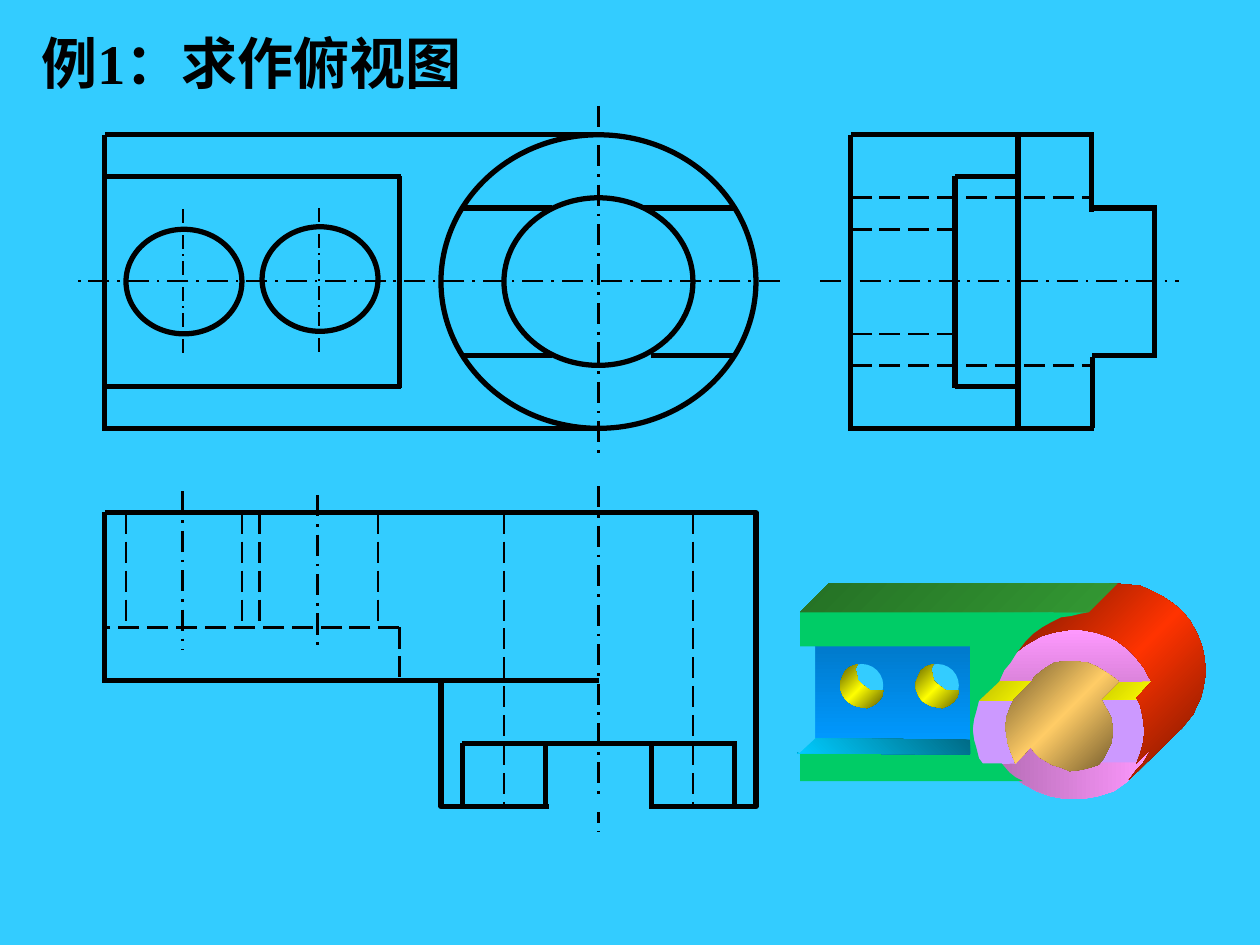
from copy import deepcopy

from pptx import Presentation
from pptx.dml.color import RGBColor
from pptx.enum.dml import MSO_LINE
from pptx.enum.shapes import MSO_CONNECTOR, MSO_SHAPE
from pptx.enum.text import MSO_ANCHOR, MSO_AUTO_SIZE
from pptx.oxml.ns import qn
from pptx.util import Inches, Pt

COLORS = {
    "background": "33CCFF", "ink": "000000",
    "pink": "FF99FF", "pink shade": "DB83DB", "pink dark": "B86EB8", "lilac": "CC99FF",
    "yellow": "FFFF00", "yellow shade": "BDBD00", "yellow soft": "CCCC00",
    "olive": "5E5E00", "olive light": "686800",
    "red": "FF3300", "red dark": "751700", "gold": "FFCC66", "gold dark": "6D572B",
    "green": "339933", "green dark": "257125", "front green": "00CC66",
    "blue": "0099FF", "blue dark": "007ACC", "cyan": "00CCFF", "cyan dark": "006B86",
}
# Line styles: colour, width in points, dash
LINES = {
    "outline": ("ink", 3, None),
    "hidden": ("ink", 1.5, MSO_LINE.LONG_DASH),
    "axis": ("ink", 1.5, MSO_LINE.LONG_DASH_DOT),
    "thin axis": ("ink", 1, MSO_LINE.LONG_DASH_DOT),
    "cover": ("background", 6, None),
}


def rgb(name):
    return RGBColor.from_string(COLORS[name])


class Drawing:
    """Holds the slide and the style of the technical drawing."""

    font = "Times New Roman"

    def __init__(self, slide):
        self.slide = slide
        self.shapes = slide.shapes
        slide.background.fill.solid()
        slide.background.fill.fore_color.rgb = rgb("background")

    def start_group(self):
        self.shapes = self.slide.shapes.add_group_shape().shapes

    def stroke(self, line, style):
        color, width, dash = LINES[style]
        line.color.rgb = rgb(color)
        line.width = Pt(width)
        if dash:
            line.dash_style = dash

    def line(self, x1, y1, x2, y2, style="outline"):
        connector = self.shapes.add_connector(
            MSO_CONNECTOR.STRAIGHT, *map(Inches, (x1, y1, x2, y2)))
        self.stroke(connector.line, style)
        properties = connector.element.spPr
        properties.append(properties.makeelement(qn("a:effectLst"), {}))
        return connector

    def outline(self, kind, left, top, width, height):
        shape = self.shapes.add_shape(kind, *map(Inches, (left, top, width, height)))
        shape.shadow.inherit = False
        shape.fill.background()
        self.stroke(shape.line, "outline")
        return shape

    def paint(self, shape, colors, angle):
        shape.shadow.inherit = False
        shape.line.fill.background()
        fill = shape.fill
        if len(colors) == 1:
            fill.solid()
            fill.fore_color.rgb = rgb(colors[0])
            return
        fill.gradient()
        fill.gradient_angle = 360 - angle
        stop_list = shape.element.spPr.find(".//" + qn("a:gsLst"))
        while len(stop_list) < len(colors):
            stop_list.append(deepcopy(stop_list[-1]))
        for index, (stop, color) in enumerate(zip(fill.gradient_stops, colors)):
            stop.position = index / (len(colors) - 1)
            stop.color.rgb = rgb(color)

    def face(self, points, *colors, angle=0, dx=0):
        pairs = [pair.split(",") for pair in points.split()]
        corners = [(Inches(float(x) + dx), Inches(float(y))) for x, y in pairs]
        builder = self.shapes.build_freeform(*corners[0])
        builder.add_line_segments(corners[1:], close=True)
        self.paint(builder.convert_to_shape(), colors, angle)

    def disc(self, left, top, size, color):
        shape = self.shapes.add_shape(
            MSO_SHAPE.OVAL, *map(Inches, (left, top, size, size)))
        self.paint(shape, [color], 0)

    def text(self, text, *, left, top, width, height, size, bold=False, color="ink"):
        box = self.shapes.add_textbox(*map(Inches, (left, top, width, height)))
        frame = box.text_frame
        frame.word_wrap = False
        frame.auto_size = MSO_AUTO_SIZE.SHAPE_TO_FIT_TEXT
        frame.vertical_anchor = MSO_ANCHOR.MIDDLE
        run = frame.paragraphs[0].add_run()
        run.text = text
        run.font.name, run.font.size, run.font.bold = self.font, Pt(size), bold
        run.font.color.rgb = rgb(color)


def draw_front_view(drawing):
    drawing.line(6.19, 2.23, 0.61, 2.23, "axis")
    drawing.line(4.75, 0.84, 4.75, 3.61, "axis")
    # Cylinder, bore and the two small holes
    for box in ((3.5, 1.07, 2.5, 2.33), (4, 1.57, 1.5, 1.33),
                (1, 1.82, 0.92, 0.83), (2.08, 1.8, 0.92, 0.83)):
        drawing.outline(MSO_SHAPE.OVAL, *box)
    drawing.line(1.45, 1.66, 1.45, 2.82, "thin axis")
    drawing.line(2.53, 1.65, 2.53, 2.8, "thin axis")
    # Plate, pocket and slot edges
    for y in (1.07, 3.4):
        drawing.line(4.75, y, 0.83, y)
    for y in (1.4, 3.07):
        drawing.line(0.83, y, 3.18, y)
    for y in (1.65, 2.82):
        drawing.line(3.67, y, 4.38, y)
        drawing.line(5.83, y, 5.11 if y < 2 else 5.17, y)
    drawing.line(0.83, 1.07, 0.83, 3.42)
    drawing.line(3.17, 1.4, 3.17, 3.08)


def draw_side_view(drawing):
    drawing.line(6.51, 2.23, 9.36, 2.23, "axis")
    for x, top, bottom in ((6.75, 1.07, 3.42), (7.58, 1.4, 3.08), (8.08, 1.07, 3.4),
                           (8.66, 1.05, 1.68), (8.67, 2.83, 3.4), (9.16, 1.65, 2.83)):
        drawing.line(x, top, x, bottom)
    for left, right, levels in ((6.75, 8.68, (1.07, 3.4)), (8.67, 9.18, (1.65, 2.82)),
                                (7.58, 8.08, (1.4, 3.07))):
        for y in levels:
            drawing.line(left, y, right, y)
    for right, levels in ((8.67, (1.57, 2.9)), (7.58, (1.82, 2.65))):
        for y in levels:
            drawing.line(6.75, y, right, y, "hidden")


def draw_top_view(drawing):
    drawing.line(4.75, 3.86, 4.75, 6.6, "axis")
    body = drawing.outline(MSO_SHAPE.RECTANGLE, 3.5, 4.07, 2.5, 2.33)
    # Slot and bore
    drawing.line(3.67, 5.9, 5.85, 5.9)
    for x in (4, 5.5):
        drawing.line(x, 4.07, x, 6.4, "hidden")
    drawing.line(4.36, 6.4, 5.15, 6.4, "cover")
    for x in (3.67, 4.33, 5.17, 5.83):
        drawing.line(x, 5.9, x, 6.4)
    drawing.line(3.5, 4.07, 3.5, 5.4, "cover")
    # Pocket and small holes
    drawing.line(3.17, 4.98, 3.17, 5.4, "hidden")
    drawing.line(3.17, 4.98, 0.83, 4.98, "hidden")
    for x in (1, 1.92, 2.06, 3):
        drawing.line(x, 4.07, x, 4.98, "hidden")
    drawing.line(1.45, 3.9, 1.45, 5.16, "axis")
    drawing.line(2.52, 3.93, 2.52, 5.16, "axis")
    # Plate
    drawing.line(0.83, 4.06, 0.83, 5.42)
    drawing.line(4.75, 4.07, 0.83, 4.07).begin_connect(body, 0)
    drawing.line(0.83, 5.4, 4.75, 5.4)


def draw_solid_model(drawing):
    drawing.start_group()
    # Front ring of the cylinder
    drawing.face("9.15,5.42 9.11,5.32 9.04,5.21 8.96,5.14 8.86,5.06 8.76,5.02 8.67,4.99 8.54,4.98 8.4,4.99 8.29,5.02 8.19,5.08 8.09,5.15 8.01,5.23 7.94,5.32 7.89,5.42", "pink", "pink shade", angle=90)
    drawing.face("8.19,5.82 7.93,6.06 8.05,6.17 8.12,6.22 8.23,6.28 8.34,6.32 8.46,6.34 8.59,6.34 8.71,6.32 8.84,6.28 8.94,6.21 9.02,6.13 9.09,6.03 9.17,5.92 9.15,5.92", "pink", "pink dark", angle=180)
    drawing.face("7.76,5.54 8.07,5.55 8.04,5.6 8,5.67 7.99,5.78 8,5.87 8.03,5.97 8.07,6.06 7.79,6.07 7.74,5.98 7.73,5.9 7.72,5.78 7.73,5.7 7.74,5.62", "lilac")
    drawing.face("8.72,5.54 8.78,5.63 8.82,5.7 8.82,5.81 8.81,5.89 8.78,5.99 8.71,6.05 9.04,6.05 9.04,5.99 9.08,5.92 9.09,5.85 9.09,5.75 9.06,5.61 9.04,5.54", "lilac")
    drawing.face("7.89,5.41 8.22,5.41 8.05,5.56 7.75,5.56", "yellow", "yellow shade", angle=225)
    drawing.face("8.86,5.42 9.17,5.41 9.03,5.55 8.73,5.55", "yellow", "yellow soft", angle=225)
    # Cylinder wall and bore
    drawing.face("8.02,5.21 8.4,4.83 8.45,4.79 8.5,4.76 8.57,4.72 8.63,4.68 8.7,4.65 8.78,4.64 8.84,4.63 8.94,4.64 9.05,4.65 9.14,4.69 9.22,4.73 9.31,4.79 9.38,4.85 9.44,4.92 9.48,4.99 9.51,5.05 9.54,5.13 9.56,5.22 9.57,5.34 9.55,5.46 9.53,5.54 9.5,5.6 9.47,5.67 9.42,5.73 9.38,5.78 8.96,6.19 9.02,6.11 9.07,6.06 9.1,6.01 9.14,5.94 9.02,6.06 9.05,5.98 9.07,5.91 9.08,5.84 9.08,5.77 9.07,5.69 9.05,5.6 9.02,5.54 9.14,5.41 9.11,5.36 9.08,5.3 9.04,5.25 9,5.2 8.95,5.15 8.87,5.09 8.79,5.05 8.7,5.02 8.59,5 8.48,5 8.36,5.02 8.26,5.05 8.21,5.08 8.14,5.12", "red dark", "red", "red dark", angle=225)
    drawing.face("8.05,5.55 8.02,5.61 7.99,5.69 7.98,5.77 7.99,5.84 8,5.9 8.02,5.96 8.04,6.01 8.06,6.06 8.18,5.93 8.22,5.98 8.25,6.01 8.3,6.04 8.35,6.07 8.42,6.09 8.49,6.12 8.58,6.11 8.66,6.09 8.72,6.07 8.76,6.02 8.79,5.96 8.82,5.9 8.83,5.83 8.83,5.77 8.82,5.7 8.79,5.64 8.76,5.59 8.74,5.55 8.88,5.41 8.84,5.38 8.8,5.35 8.75,5.32 8.7,5.29 8.63,5.26 8.54,5.25 8.44,5.25 8.37,5.26 8.3,5.3 8.25,5.34 8.21,5.37 8.19,5.41", "gold dark", "gold", "gold dark", angle=225)
    # Plate and pocket
    drawing.face("6.35,4.86 6.58,4.63 8.87,4.63 8.64,4.86", "green", "green dark", angle=225)
    drawing.face("6.35,4.86 8.64,4.86 8.58,4.87 8.5,4.89 8.42,4.9 8.34,4.94 8.27,4.98 8.2,5.03 8.14,5.09 8.07,5.18 8.02,5.26 7.97,5.32 7.93,5.41 7.77,5.56 7.75,5.64 7.73,5.71 7.72,5.79 7.73,5.87 7.75,5.94 7.77,6.02 7.8,6.06 7.95,6.06 8.01,6.13 8.06,6.17 8.12,6.2 6.35,6.2", "front green")
    drawing.face("6.46,5.13 7.7,5.13 7.7,5.88 6.46,5.87", "blue dark", "blue", angle=90)
    drawing.face("6.33,5.98 6.46,5.86 7.7,5.87 7.7,5.99", "cyan dark", "cyan", angle=135)
    drawing.face("6.34,5.13 6.34,5.98 6.47,5.86 6.47,5.13", "background")
    # Two through holes, each with its lit wall
    wall = "6.81,5.27 6.79,5.31 6.8,5.35 6.81,5.4 6.84,5.43 6.88,5.46 6.91,5.48 6.95,5.48 7.01,5.48 7,5.53 6.97,5.57 6.93,5.6 6.88,5.62 6.82,5.61 6.78,5.6 6.73,5.57 6.71,5.55 6.69,5.52 6.67,5.47 6.67,5.41 6.69,5.36 6.71,5.32 6.75,5.29"
    for dx, shade in ((0, "olive"), (0.6, "olive light")):
        drawing.disc(6.67 + dx, 5.27, 0.34, "background")
        drawing.face(wall, shade, "yellow", shade, angle=225, dx=dx)


def main():
    presentation = Presentation()
    presentation.slide_width, presentation.slide_height = Inches(10), Inches(7.5)
    drawing = Drawing(presentation.slides.add_slide(presentation.slide_layouts[6]))
    draw_front_view(drawing)
    draw_side_view(drawing)
    drawing.text("例1：求作俯视图", left=0.23, top=0.17, width=3.75, height=0.64,
                 size=32, bold=True)
    draw_top_view(drawing)
    draw_solid_model(drawing)
    presentation.save("out.pptx")


if __name__ == "__main__":
    main()
